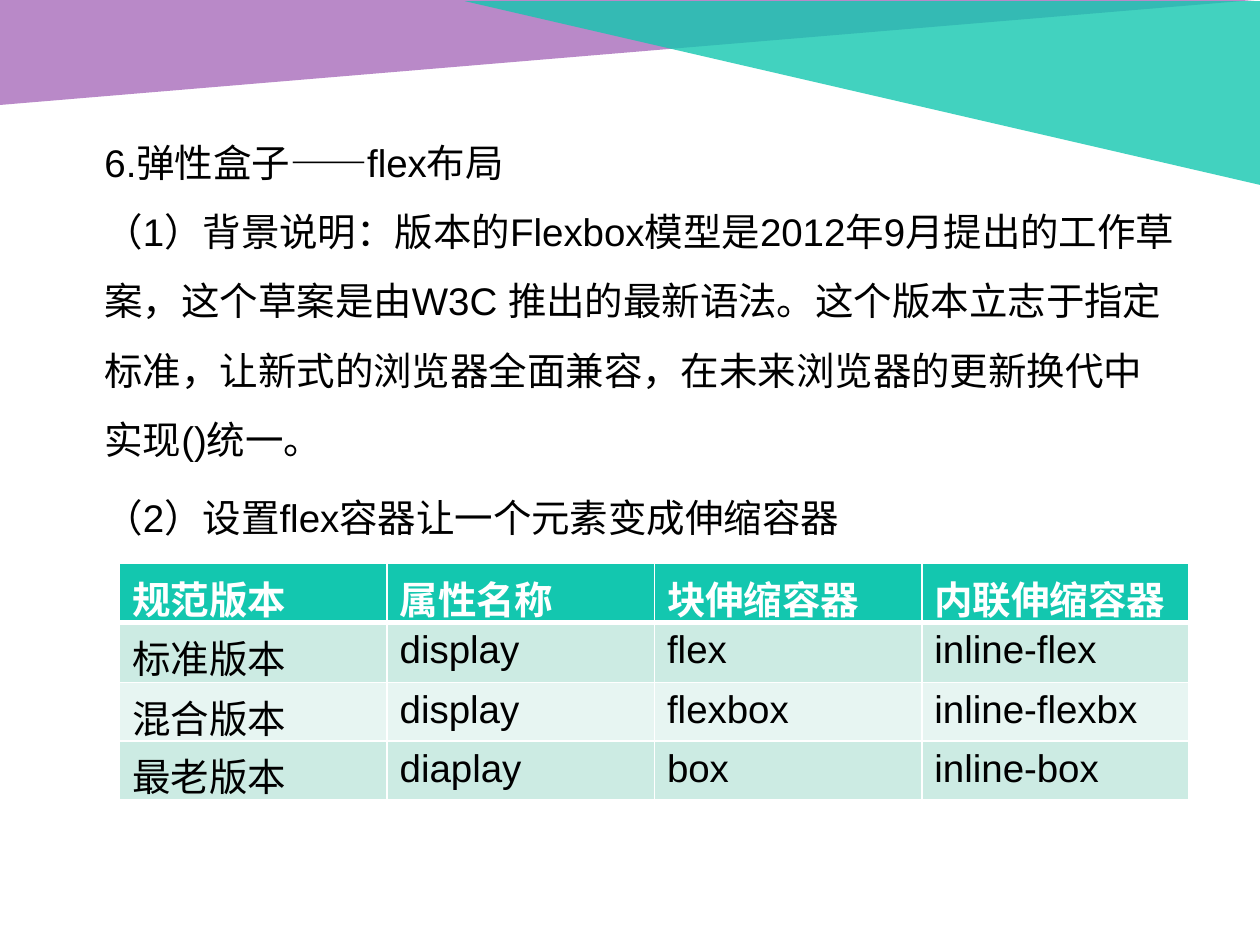
from dataclasses import dataclass

from lxml.etree import SubElement
from pptx import Presentation
from pptx.dml.color import RGBColor
from pptx.enum.shapes import MSO_SHAPE as Shape
from pptx.oxml.ns import qn
from pptx.util import Pt

COLORS = {
    "purple": "A86CBB",
    "teal": "13C7AF",
    "band_dark": "CCEBE3",
    "band_light": "E7F5F2",
    "white": "FFFFFF",
    "black": "000000",
}
FONT_NAME = "Arial"
FONT_SIZE = 22


@dataclass(frozen=True)
class Triangle:
    left: float
    top: float
    width: float
    height: float
    color: str
    flips: tuple[str, ...]


@dataclass(frozen=True)
class BodyParagraph:
    text: str
    space_before: float = 0


TRIANGLES = [
    Triangle(0, 0, 717, 60, "purple", ("flipV",)),
    Triangle(265.7, 0.7, 454.3, 105, "teal", ("flipH", "flipV")),
]
BODY = [
    BodyParagraph("6.弹性盒子——flex布局"),
    BodyParagraph(
        "（1）背景说明：版本的Flexbox模型是2012年9月提出的工作草案，"
        "这个草案是由W3C 推出的最新语法。这个版本立志于指定标准，"
        "让新式的浏览器全面兼容，在未来浏览器的更新换代中实现()统一。"
    ),
    BodyParagraph("（2）设置flex容器让一个元素变成伸缩容器", 5),
]
VERSIONS = [
    ("规范版本", "属性名称", "块伸缩容器", "内联伸缩容器"),
    ("标准版本", "display", "flex", "inline-flex"),
    ("混合版本", "display", "flexbox", "inline-flexbx"),
    ("最老版本", "diaplay", "box", "inline-box"),
]
ROW_HEIGHTS = (34, 34, 30, 30)
ROW_FILLS = ("teal", "band_dark", "band_light", "band_dark")


def rgb(name: str) -> RGBColor:
    """Look up a named colour."""
    return RGBColor.from_string(COLORS[name])


def add_run(paragraph, text: str, color: str, bold: bool = False) -> None:
    """Add one styled run to a paragraph."""
    run = paragraph.add_run()
    run.text = text
    run.font.name = FONT_NAME
    run.font.size = Pt(FONT_SIZE)
    run.font.bold = bold
    run.font.color.rgb = rgb(color)


def add_triangle(slide, triangle: Triangle) -> None:
    """Draw a flipped, translucent right triangle."""
    shape = slide.shapes.add_shape(
        Shape.RIGHT_TRIANGLE,
        Pt(triangle.left), Pt(triangle.top), Pt(triangle.width), Pt(triangle.height),
    )
    shape.shadow.inherit = False
    shape.line.fill.background()
    shape.fill.solid()
    shape.fill.fore_color.rgb = rgb(triangle.color)
    properties = shape._element.spPr
    color = properties.find(qn("a:solidFill")).find(qn("a:srgbClr"))
    SubElement(color, qn("a:alpha"), val="80000")
    for flip in triangle.flips:
        properties.find(qn("a:xfrm")).set(flip, "1")


def add_body(slide, paragraphs: list[BodyParagraph]) -> None:
    """Write the explanation above the table."""
    frame = slide.shapes.add_textbox(Pt(52.6), Pt(62.6), Pt(627), Pt(394)).text_frame
    frame.word_wrap = True
    for index, item in enumerate(paragraphs):
        paragraph = frame.add_paragraph() if index else frame.paragraphs[0]
        paragraph.line_spacing = 1.5
        paragraph.space_before = Pt(item.space_before)
        add_run(paragraph, item.text, "black")


def set_border(cell, side: str, width: float) -> None:
    """Give one side of a cell a white line."""
    line = SubElement(cell._tc.get_or_add_tcPr(), qn(f"a:ln{side}"), w=str(Pt(width)))
    fill = SubElement(line, qn("a:solidFill"))
    SubElement(fill, qn("a:srgbClr"), val=COLORS["white"])


def add_version_table(slide) -> None:
    """Build the table of flex container versions."""
    table = slide.shapes.add_table(
        len(VERSIONS), len(VERSIONS[0]), Pt(68.4), Pt(321.9), Pt(611.2), Pt(sum(ROW_HEIGHTS))
    ).table
    for row_index, values in enumerate(VERSIONS):
        table.rows[row_index].height = Pt(ROW_HEIGHTS[row_index])
        header = row_index == 0
        widths = {"L": 1, "R": 1, "T": 3 if row_index == 1 else 1, "B": 3 if header else 1}
        for column_index, value in enumerate(values):
            cell = table.cell(row_index, column_index)
            for side, width in widths.items():
                set_border(cell, side, width)
            cell.fill.solid()
            cell.fill.fore_color.rgb = rgb(ROW_FILLS[row_index])
            color = "white" if header else "black"
            add_run(cell.text_frame.paragraphs[0], value, color, header)


def main() -> None:
    """Build and save the slide."""
    presentation = Presentation()
    presentation.slide_width, presentation.slide_height = Pt(720), Pt(540)
    slide = presentation.slides.add_slide(presentation.slide_layouts[6])
    for triangle in TRIANGLES:
        add_triangle(slide, triangle)
    add_body(slide, BODY)
    add_version_table(slide)
    presentation.save("out.pptx")


if __name__ == "__main__":
    main()
